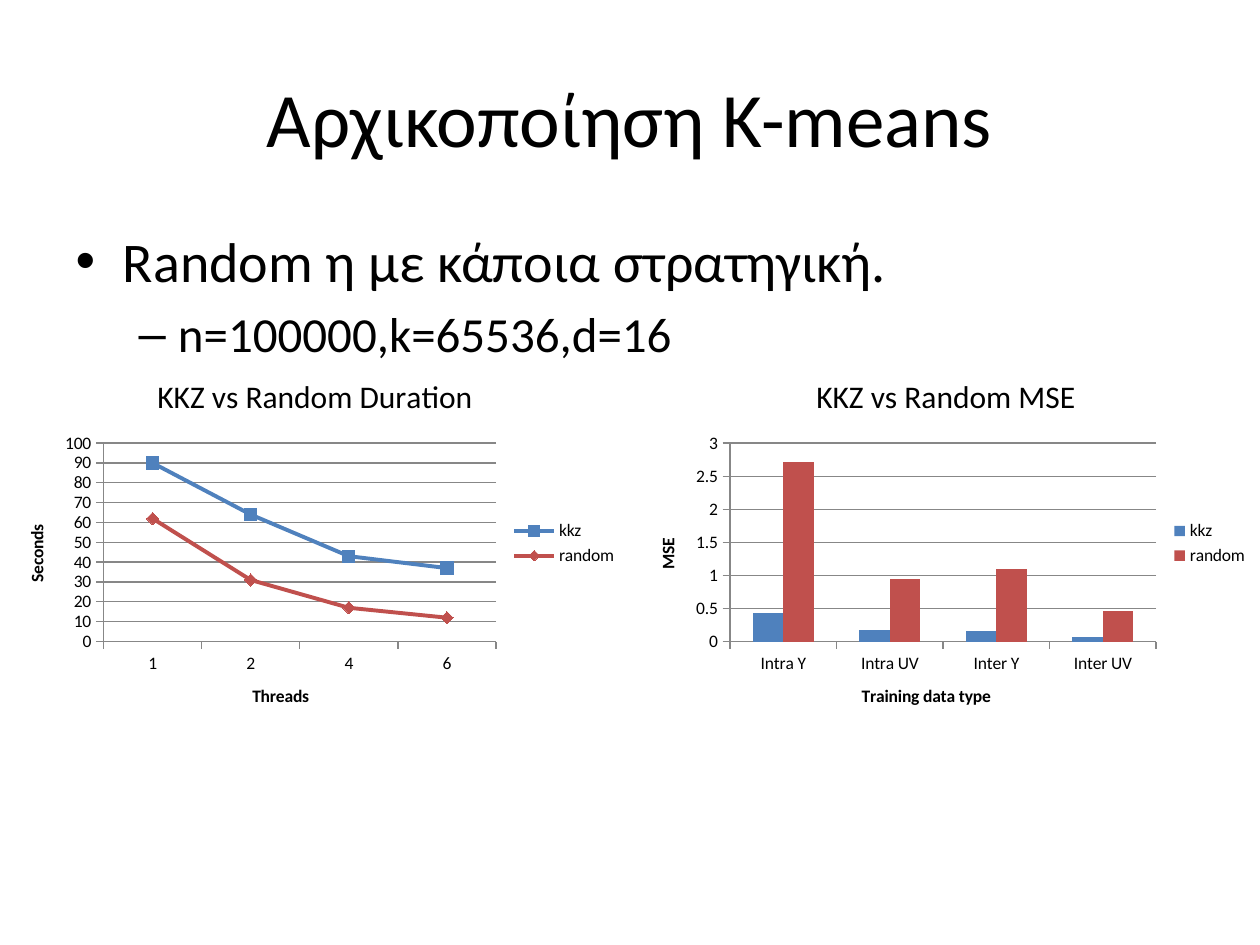
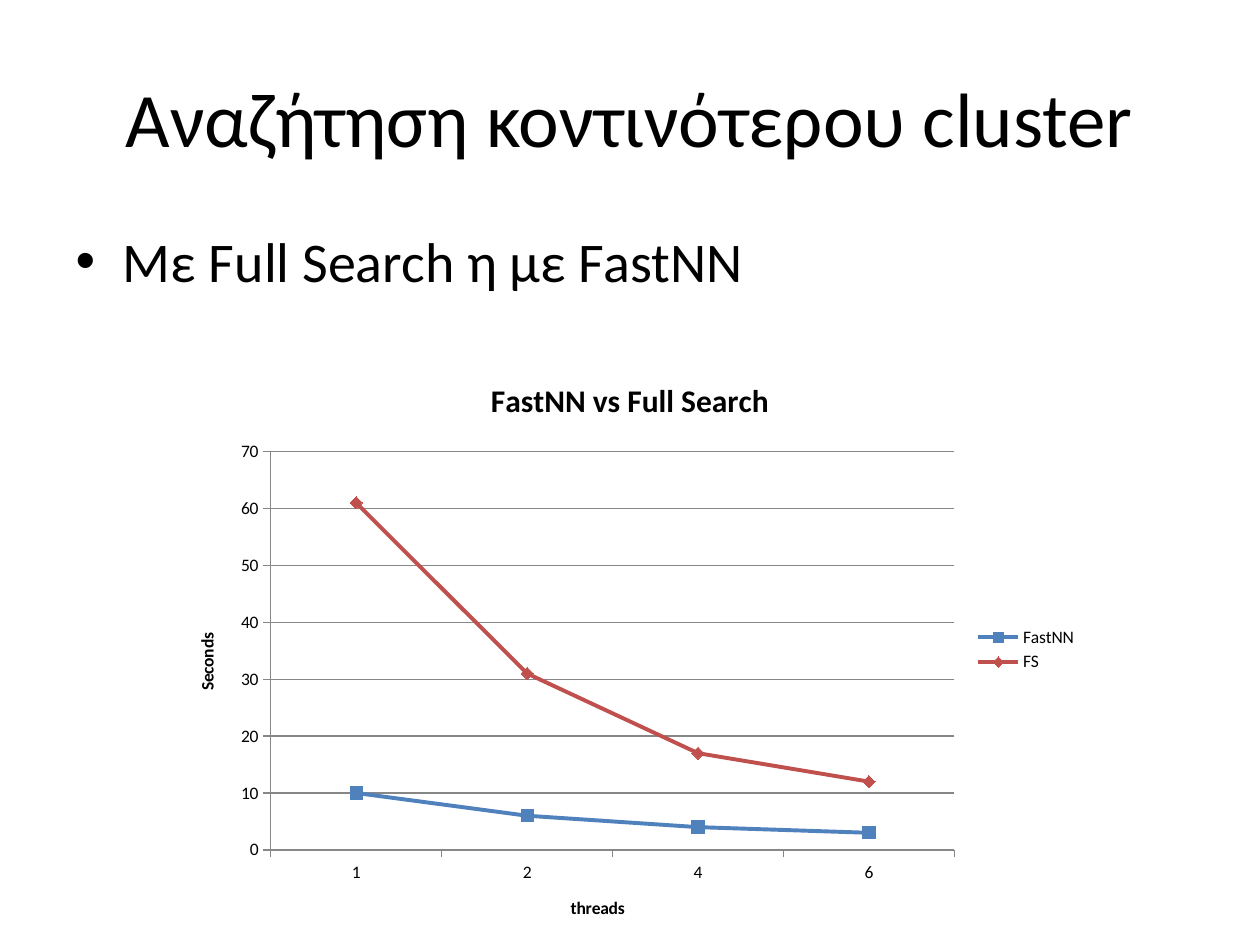
from dataclasses import dataclass

from pptx import Presentation
from pptx.chart.data import CategoryChartData
from pptx.dml.color import RGBColor
from pptx.enum.chart import XL_CHART_TYPE, XL_LEGEND_POSITION, XL_MARKER_STYLE, XL_TICK_MARK
from pptx.enum.text import MSO_ANCHOR, PP_ALIGN
from pptx.util import Pt

LINE_MARKERS = XL_CHART_TYPE.LINE_MARKERS
COLUMNS = XL_CHART_TYPE.COLUMN_CLUSTERED
LEGEND_RIGHT = XL_LEGEND_POSITION.RIGHT
MARKERS = (XL_MARKER_STYLE.SQUARE, XL_MARKER_STYLE.DIAMOND)
TICK_OUTSIDE, TICK_NONE = XL_TICK_MARK.OUTSIDE, XL_TICK_MARK.NONE
MIDDLE, TOP = MSO_ANCHOR.MIDDLE, MSO_ANCHOR.TOP
CENTER, LEFT = PP_ALIGN.CENTER, PP_ALIGN.LEFT
TITLE_AND_CONTENT = 1


@dataclass(frozen=True)
class Theme:
    font: str = "Calibri"
    text: RGBColor = RGBColor(0x00, 0x00, 0x00)
    background: RGBColor = RGBColor(0xFF, 0xFF, 0xFF)
    grid: RGBColor = RGBColor(0x87, 0x87, 0x87)
    series: tuple = (RGBColor(0x4F, 0x81, 0xBD), RGBColor(0xC0, 0x50, 0x4D))
    title_size: int = 44
    level_sizes: tuple = (32, 28)
    chart_title_size: int = 18
    chart_size: int = 10


THEME = Theme()
SLIDE_SIZE = (720, 540)
TITLE_BOX = (36, 21.6, 648, 90)
BODY_BOX = (36, 126, 648, 356.4)
CHART_TOP = 202.5
THREADS = ("1", "2", "4", "6")


def apply_format(target, values):
    for name, value in values.items():
        setattr(target, name, value)


def style_font(font, size, bold=False):
    apply_format(font, {"name": THEME.font, "size": Pt(size), "bold": bold})
    font.color.rgb = THEME.text


def place(shape, box):
    names = ("left", "top", "width", "height")
    apply_format(shape, dict(zip(names, map(Pt, box))))


def add_content_slide(deck, heading, points):
    """Add a slide whose points are listed one per outline level."""
    slide = deck.slides.add_slide(deck.slide_layouts[TITLE_AND_CONTENT])
    slide.background.fill.solid()
    slide.background.fill.fore_color.rgb = THEME.background

    title, body = slide.placeholders
    place(title, TITLE_BOX)
    title.text_frame.text = heading
    title.text_frame.vertical_anchor = MIDDLE
    heading_line = title.text_frame.paragraphs[0]
    heading_line.alignment = CENTER
    style_font(heading_line.font, THEME.title_size)

    place(body, BODY_BOX)
    body.text_frame.text = "\n".join(points)
    body.text_frame.vertical_anchor = TOP
    for level, point in enumerate(body.text_frame.paragraphs):
        size = THEME.level_sizes[level]
        space = Pt(0.2 * size) if level else Pt(0)
        apply_format(point, {"level": level, "alignment": LEFT, "space_before": space})
        style_font(point.font, size)
    return slide


def set_title(owner, wording, size, bold):
    """Title a chart or an axis and return the title's text frame."""
    owner.has_title = True
    frame = (owner.chart_title if hasattr(owner, "chart_title") else owner.axis_title).text_frame
    frame.text = wording
    style_font(frame.paragraphs[0].runs[0].font, size, bold)
    return frame


def style_rule(line):
    line.color.rgb = THEME.grid
    line.width = Pt(0.75)


def style_axis(axis, wording):
    apply_format(axis, {"major_tick_mark": TICK_OUTSIDE, "minor_tick_mark": TICK_NONE})
    style_rule(axis.format.line)
    return set_title(axis, wording, THEME.chart_size, True)


def style_series(plot, kind):
    plot.vary_by_categories = False
    if kind == COLUMNS:
        apply_format(plot, {"gap_width": 150, "overlap": 0})
    for series, color, marker in zip(plot.series, THEME.series, MARKERS):
        fills = [series.format.fill]
        if kind == LINE_MARKERS:
            series.smooth = False
            series.format.line.color.rgb = color
            series.format.line.width = Pt(2.25)
            apply_format(series.marker, {"style": marker, "size": 7})
            series.marker.format.line.color.rgb = color
            fills = [series.marker.format.fill]
        for fill in fills:
            fill.solid()
            fill.fore_color.rgb = color


def add_comparison(slide, kind, box, heading, axis_titles, categories, results, scale,
                   bold_heading=False):
    """Chart the results by method; scale is the value axis maximum and its step."""
    data = CategoryChartData()
    data.categories = categories
    for method, values in results.items():
        data.add_series(method, values)
    chart = slide.shapes.add_chart(kind, *map(Pt, box), data).chart
    style_font(chart.font, THEME.chart_size)
    set_title(chart, heading, THEME.chart_title_size, bold_heading)
    chart.has_legend = True
    apply_format(chart.legend, {"position": LEGEND_RIGHT, "include_in_layout": False})

    style_axis(chart.category_axis, axis_titles[0])
    measure = chart.value_axis
    upright = style_axis(measure, axis_titles[1])
    upright._txBody.bodyPr.set("rot", "-5400000")
    upright._txBody.bodyPr.set("vert", "horz")
    maximum, step = scale
    apply_format(measure, {"minimum_scale": 0, "maximum_scale": maximum,
                           "major_unit": step, "has_major_gridlines": True})
    style_rule(measure.major_gridlines.format.line)
    style_series(chart.plots[0], kind)


def main():
    deck = Presentation()
    deck.slide_width, deck.slide_height = map(Pt, SLIDE_SIZE)

    initialisation = add_content_slide(
        deck, "Αρχικοποίηση K-means",
        ["Random η με κάποια στρατηγική.", "n=100000,k=65536,d=16"])
    add_comparison(
        initialisation, LINE_MARKERS, (0, CHART_TOP, 360, 216),
        "KKZ vs Random Duration", ("Threads", "Seconds"), THREADS,
        {"kkz": (90, 64, 43, 37), "random": (62, 31, 17, 12)}, (100, 10))
    add_comparison(
        initialisation, COLUMNS, (360.5, CHART_TOP, 360, 216),
        "ΚΚΖ vs Random MSE", ("Training data type", "MSE"),
        ("Intra Y", "Intra UV", "Inter Y", "Inter UV"),
        {"kkz": (0.43, 0.18, 0.16, 0.07), "random": (2.71, 0.94, 1.09, 0.46)}, (3, 0.5))

    search = add_content_slide(
        deck, "Αναζήτηση κοντινότερου cluster", ["Με Full Search η με FastNN"])
    add_comparison(
        search, LINE_MARKERS, (97.2, CHART_TOP, 525.6, 337.5),
        "FastNN vs Full Search", ("threads", "Seconds"), THREADS,
        {"FastNN": (10, 6, 4, 3), "FS": (61, 31, 17, 12)}, (70, 10), bold_heading=True)

    deck.save("out.pptx")


if __name__ == "__main__":
    main()
